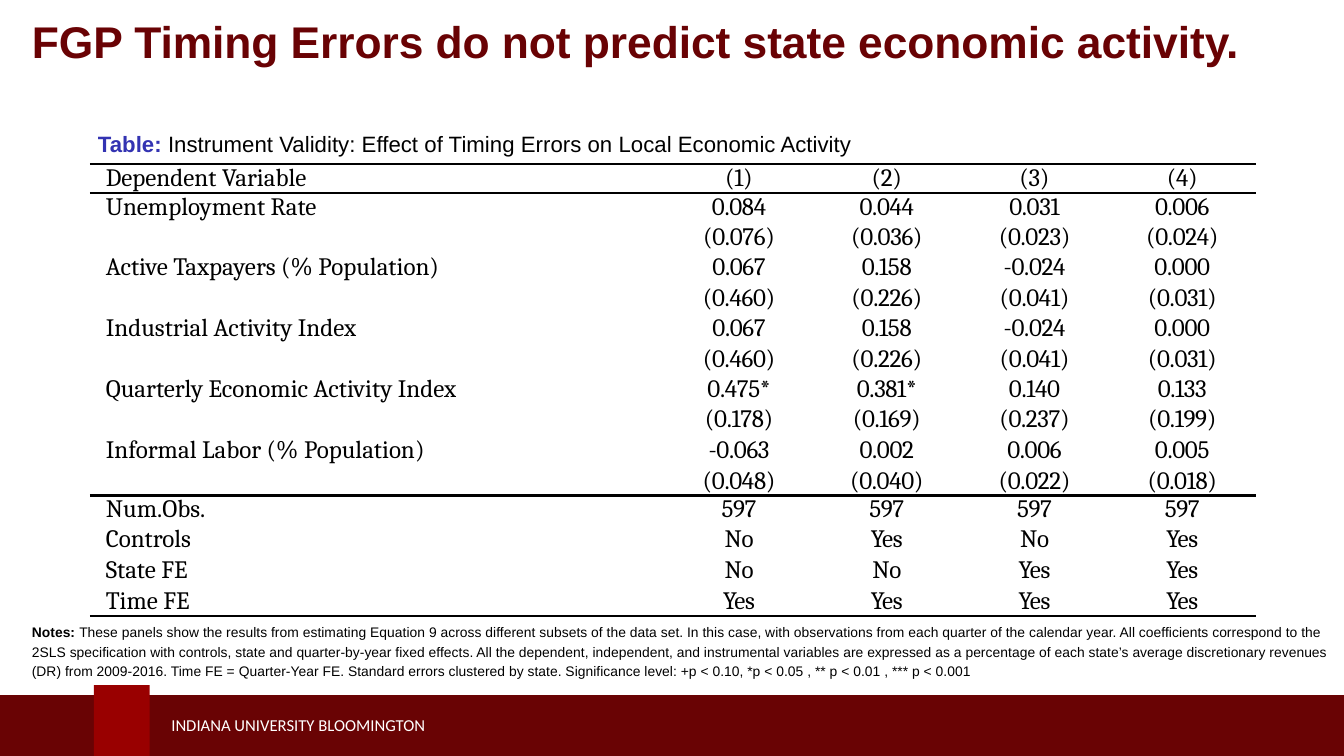
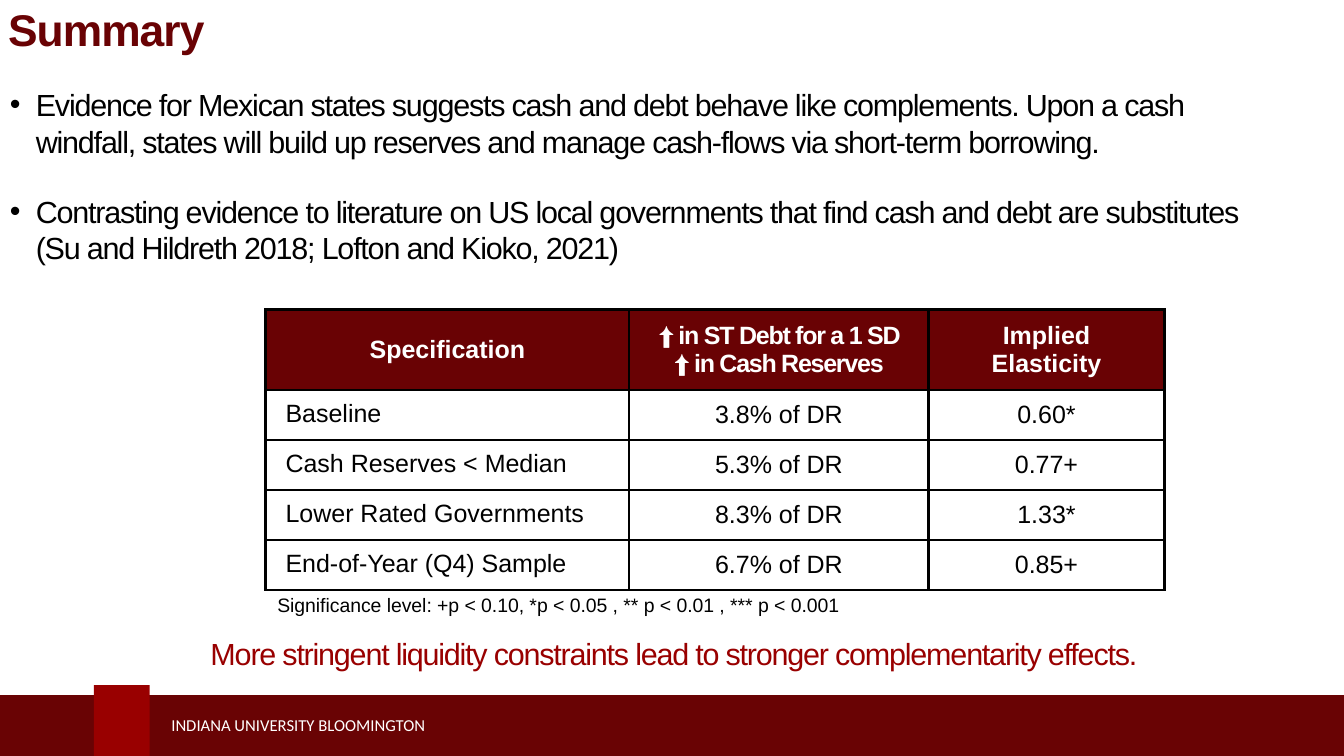
import pptx
import pptx.dml.color
import pptx.enum.shapes
import pptx.enum.text
import pptx.oxml.ns
import pptx.util
from lxml import etree

Inches = pptx.util.Inches
Pt = pptx.util.Pt
RGBColor = pptx.dml.color.RGBColor
ALIGN = pptx.enum.text.PP_ALIGN
ANCHOR = pptx.enum.text.MSO_ANCHOR
qn = pptx.oxml.ns.qn

MAROON = RGBColor(0x69, 0x02, 0x04)
BAND = RGBColor(0x69, 0x03, 0x04)
RED = RGBColor(0x99, 0x00, 0x00)
BLUE = RGBColor(0x33, 0x33, 0xB2)
BLACK = RGBColor(0, 0, 0)
WHITE = RGBColor(255, 255, 255)
PLAIN = "{2D5ABB26-0587-4C30-8999-92F81FD0307C}"
WIDE, HIGH = Pt(484.5), Pt(272.5)
SLIM = (0, 0.01)
TIGHT = -0.45
LEVELS = "Significance level: +p < 0.10, *p < 0.05 , ** p < 0.01 , *** p < 0.001"


class Deck:
    def __init__(self):
        self.file = pptx.Presentation()
        self.file.slide_width = WIDE
        self.file.slide_height = HIGH
        self.slide = None

    def page(self, title, x, y, w, h, inset, spc=0):
        self.slide = self.file.slides.add_slide(self.file.slide_layouts[6])
        self.rect(-0.02, 3.48, 6.79, 0.34, BAND)
        self.rect(0.47, 3.43, 0.28, 0.39, RED)
        self.text(0.76, 3.53, 2.66, 0.2, ["INDIANA UNIVERSITY BLOOMINGTON"],
                  anchor=ANCHOR.MIDDLE, size=6, color=WHITE, face="Calibri")
        self.text(x, y, w, h, [title], inset=inset,
                  size=16, color=MAROON, bold=True, spc=spc)

    def rect(self, x, y, w, h, color):
        shape = self.slide.shapes.add_shape(
            pptx.enum.shapes.MSO_SHAPE.RECTANGLE,
            Inches(x), Inches(y), Inches(w), Inches(h))
        shape.shadow.inherit = False
        shape.fill.solid()
        shape.fill.fore_color.rgb = color
        shape.line.fill.background()

    def text(self, x, y, w, h, lines, inset=(0.1, 0.05), anchor=ANCHOR.TOP, **style):
        box = self.slide.shapes.add_textbox(Inches(x), Inches(y), Inches(w), Inches(h))
        frame = box.text_frame
        frame.word_wrap = True
        frame.vertical_anchor = anchor
        frame.margin_left = frame.margin_right = Inches(inset[0])
        frame.margin_top = Inches(inset[1])
        frame.margin_bottom = Inches(inset[1] if inset[0] else 0)
        for i, line in enumerate(lines):
            par = frame.add_paragraph() if i else frame.paragraphs[0]
            if i:
                par.space_before = Pt(style.get("gap", 0))
            self.para(par, line, **style)

    def para(self, par, line, size, color=BLACK, face="Arial", bold=False, spc=0,
             left=0, hang=0, bullet=None, pitch=None, align=None, gap=0, head=None):
        props = par._p.get_or_add_pPr()
        if left:
            props.set("marL", str(Inches(left)))
        if hang:
            props.set("indent", str(-Inches(hang)))
        if bullet:
            etree.SubElement(props, qn("a:buFont")).set("typeface", face)
            etree.SubElement(props, qn("a:buChar")).set("char", bullet)
        if pitch:
            par.line_spacing = Pt(pitch)
        if align:
            par.alignment = align
        if gap:
            par.space_after = Pt(gap)
        par.font.size = Pt(size)
        par.font.name = face
        par.font.bold = bold
        par.font.color.rgb = color
        if spc:
            props.get_or_add_defRPr().set("spc", str(round(spc * 100)))
        if head:
            run = par.add_run()
            run.text, run.font.color.rgb = head
            run.font.bold = True
        if line:
            par.add_run().text = line

    def table(self, x, y, cols, highs, rows, draw):
        frame = self.slide.shapes.add_table(
            len(rows), len(cols), Inches(x), Inches(y),
            Inches(sum(cols)), Inches(sum(highs)))
        grid = frame.table
        grid.first_row = grid.horz_banding = False
        grid._tbl.tblPr.find(qn("a:tableStyleId")).text = PLAIN
        for col, wide in zip(grid.columns, cols):
            col.width = Inches(wide)
        for r, row in enumerate(rows):
            grid.rows[r].height = Inches(highs[r])
            for c, word in enumerate(row):
                draw(grid.cell(r, c), r, c, word)

    def cell(self, cell, word, sides, fill=None, inset=None, anchor=ANCHOR.TOP, **style):
        props = cell._tc.get_or_add_tcPr()
        for side in "LRTB":
            line = etree.SubElement(props, qn("a:ln" + side))
            if side in sides:
                line.set("w", str(Pt(1)))
                paint = etree.SubElement(line, qn("a:solidFill"))
                etree.SubElement(paint, qn("a:srgbClr")).set("val", str(BLACK))
            else:
                etree.SubElement(line, qn("a:noFill"))
        if fill:
            cell.fill.solid()
            cell.fill.fore_color.rgb = fill
        else:
            cell.fill.background()
        cell.vertical_anchor = anchor
        if inset is not None:
            cell.margin_left = cell.margin_right = Inches(inset)
            cell.margin_top = cell.margin_bottom = Inches(inset)
        self.para(cell.text_frame.paragraphs[0], word, size=9, **style)


def timing(deck):
    deck.page("FGP Timing Errors do not predict state economic activity.",
              0, 0.02, 6.92, 0.37, (0.16, 0.05))
    deck.text(0.49, 0.64, 4.1, 0.15,
              ["Instrument Validity: Effect of Timing Errors on Local Economic Activity"],
              inset=SLIM, size=8, head=("Table: ", BLUE))
    deck.text(0.16, 3.09, 6.54, 0.3, [
        "These panels show the results from estimating Equation 9 across different "
        "subsets of the data set. In this case, with observations from each quarter "
        "of the calendar year. All coefficients correspond to the 2SLS specification "
        "with controls, state and quarter-by-year fixed effects. All the dependent, "
        "independent, and instrumental variables are expressed as a percentage of "
        "each state’s average discretionary revenues (DR) from 2009-2016. Time FE = "
        "Quarter-Year FE. Standard errors clustered by state. " + LEVELS],
        inset=(0, 0.02), size=5, pitch=7, head=("Notes: ", BLACK))
    tests = [
        ("Unemployment Rate", "0.084 0.044 0.031 0.006", "0.076 0.036 0.023 0.024"),
        ("Active Taxpayers (% Population)", "0.067 0.158 -0.024 0.000",
         "0.460 0.226 0.041 0.031"),
        ("Industrial Activity Index", "0.067 0.158 -0.024 0.000",
         "0.460 0.226 0.041 0.031"),
        ("Quarterly Economic Activity Index", "0.475* 0.381* 0.140 0.133",
         "0.178 0.169 0.237 0.199"),
        ("Informal Labor (% Population)", "-0.063 0.002 0.006 0.005",
         "0.048 0.040 0.022 0.018"),
    ]
    rows = [["Dependent Variable", "(1)", "(2)", "(3)", "(4)"]]
    for name, means, errors in tests:
        rows.append([name] + means.split())
        rows.append([""] + [f"({e})" for e in errors.split()])
    rows += [
        ["Num.Obs."] + ["597"] * 4,
        ["Controls", "No", "Yes", "No", "Yes"],
        ["State FE", "No", "No", "Yes", "Yes"],
        ["Time FE"] + ["Yes"] * 4,
    ]
    odd = {0: 10.6, 1: 10.2, 10: 11.2, 11: 10.2, 14: 11.2}
    pitch = [odd.get(r, 10.9) for r in range(len(rows))]

    def draw(cell, r, c, word):
        sides = "T" * (r in (0, 1, 11)) + "B" * (r in (0, 10, 14))
        place = dict(align=ALIGN.CENTER, spc=-0.1) if c else dict(left=0.08)
        deck.cell(cell, word, sides, inset=0, face="Cambria", pitch=pitch[r], **place)

    deck.table(0.45, 0.82, [2.88] + [0.74] * 4, [p / 72 for p in pitch], rows, draw)


def summary(deck):
    deck.page("Summary", 0.04, 0, 6.69, 0.28, SLIM, spc=-0.3)
    deck.text(0, 0.42, 6.36, 0.92, [
        "Evidence for Mexican states suggests cash and debt behave like complements. "
        "Upon a cash windfall, states will build up reserves and manage cash-flows "
        "via short-term borrowing.",
        "Contrasting evidence to literature on US local governments that find cash "
        "and debt are substitutes (Su and Hildreth 2018; Lofton and Kioko, 2021)"],
        inset=SLIM, size=11, spc=TIGHT, left=0.18, hang=0.13, bullet="•", gap=6)
    rows = [
        ["Specification", "⬆️ in ST Debt for a 1 SD ⬆️ in Cash Reserves",
         "Implied Elasticity"],
        ["Baseline", "3.8% of DR", "0.60*"],
        ["Cash Reserves < Median", "5.3% of DR", "0.77+"],
        ["Lower Rated Governments", "8.3% of DR", "1.33*"],
        ["End-of-Year (Q4) Sample", "6.7% of DR", "0.85+"],
    ]

    def draw(cell, r, c, word):
        style = {}
        if r == 0:
            style = dict(fill=MAROON, color=WHITE, bold=True, spc=TIGHT * (c == 1))
        if r == 0 or c:
            style.update(align=ALIGN.CENTER, anchor=ANCHOR.MIDDLE)
        deck.cell(cell, word, "LRTB", **style)

    deck.table(1.33, 1.55, [1.82, 1.5, 1.18], [0.4] + [0.25] * 4, rows, draw)
    deck.text(1.29, 2.94, 4.58, 0.2, [LEVELS], size=7, pitch=7)
    deck.text(0.18, 3.17, 6.39, 0.2,
              ["More stringent liquidity constraints lead to stronger "
               "complementarity effects."],
              inset=SLIM, size=11, color=RED, spc=TIGHT, align=ALIGN.CENTER)


def main():
    deck = Deck()
    timing(deck)
    summary(deck)
    deck.file.save("out.pptx")


if __name__ == "__main__":
    main()
